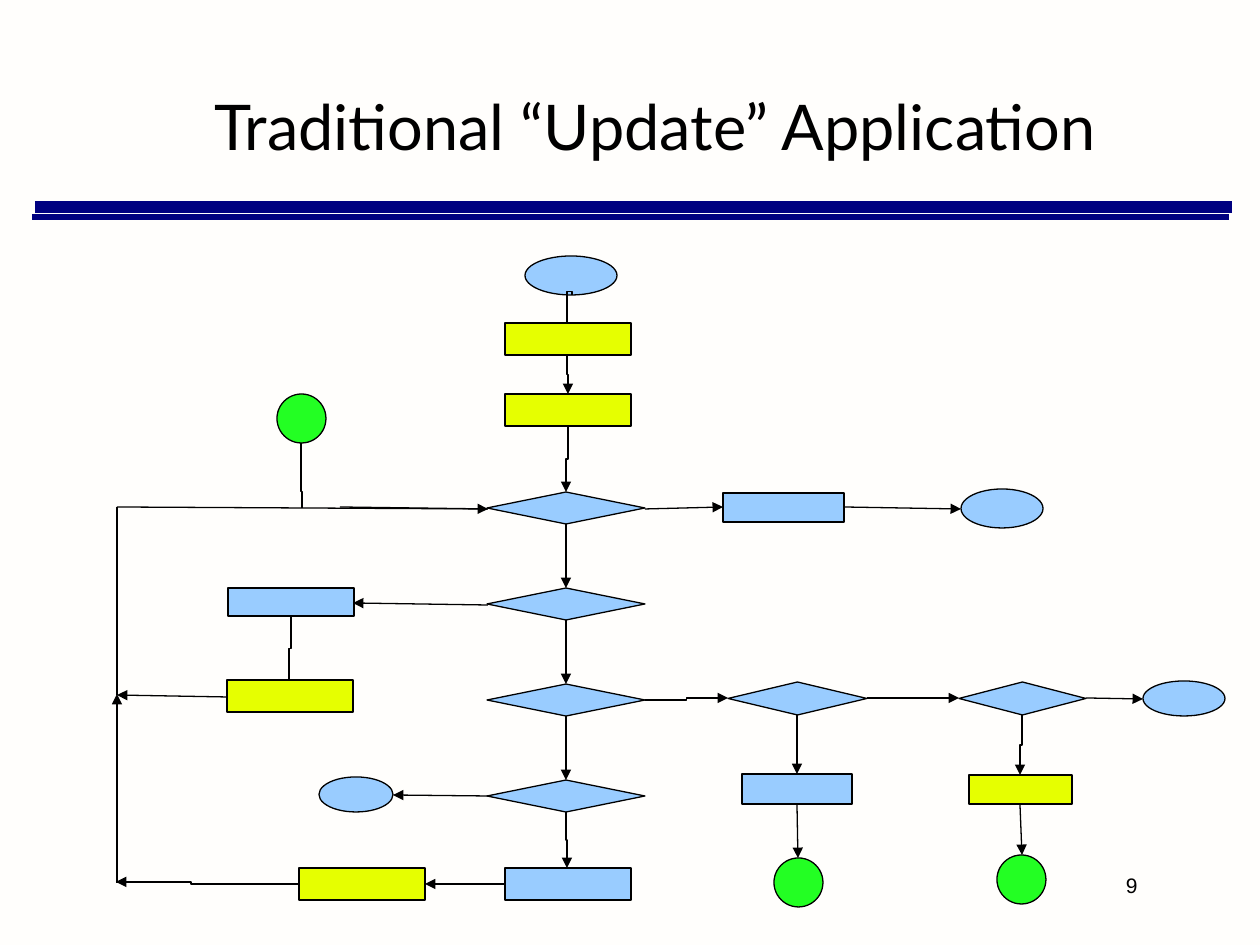
from dataclasses import dataclass

from lxml.etree import SubElement
from pptx import Presentation
from pptx.dml.color import RGBColor
from pptx.enum.shapes import MSO_CONNECTOR, MSO_SHAPE
from pptx.enum.text import MSO_ANCHOR, MSO_AUTO_SIZE, PP_ALIGN
from pptx.oxml.ns import qn
from pptx.util import Emu, Inches, Pt

RECTANGLE = MSO_SHAPE.RECTANGLE
DIAMOND = MSO_SHAPE.DIAMOND
OVAL = MSO_SHAPE.OVAL
STRAIGHT = MSO_CONNECTOR.STRAIGHT
ELBOW = MSO_CONNECTOR.ELBOW
LEFT = PP_ALIGN.LEFT
RIGHT = PP_ALIGN.RIGHT
TOP = MSO_ANCHOR.TOP
MIDDLE = MSO_ANCHOR.MIDDLE
NO_AUTOFIT = MSO_AUTO_SIZE.NONE

PX_PER_INCH = 126
TITLE_ONLY = 5
BLACK = "000000"
NAVY = "000080"
PAPER = "FFFEFC"
BLUE = "99CCFF"
YELLOW = "E6FF00"
GREEN = "23FF23"
THIN = 0.75

DECISION_X = 566
DECISION_TOP = 492
DECISION_STEP = 96
DECISION_WIDTH = 158
DECISION_HEIGHT = 32
DECISION_COUNT = 4
CIRCLE = 49


@dataclass(frozen=True)
class Node:
    kind: int
    left: int
    top: int
    width: int
    height: int
    fill: str = BLUE


@dataclass(frozen=True)
class Link:
    x1: int
    y1: int
    x2: int
    y2: int
    arrow: bool = True
    bend: float | None = None
    vertical: bool = False
    color: str = BLACK
    weight: float = THIN


DECISION_TOPS = [DECISION_TOP + DECISION_STEP * row for row in range(DECISION_COUNT)]

NODES = [
    Node(OVAL, 525, 256, 92, 39),
    Node(RECTANGLE, 505, 323, 126, 32, YELLOW),
    Node(RECTANGLE, 505, 394, 126, 32, YELLOW),
    *(
        Node(DIAMOND, DECISION_X - DECISION_WIDTH // 2, top, DECISION_WIDTH, DECISION_HEIGHT)
        for top in DECISION_TOPS
    ),
    Node(RECTANGLE, 505, 868, 126, 32),
    Node(RECTANGLE, 299, 868, 126, 32, YELLOW),
    Node(RECTANGLE, 228, 588, 126, 28),
    Node(RECTANGLE, 227, 680, 126, 32, YELLOW),
    Node(DIAMOND, 728, 682, 139, 33),
    Node(DIAMOND, 959, 682, 127, 33),
    Node(RECTANGLE, 742, 774, 110, 30),
    Node(RECTANGLE, 969, 775, 103, 29, YELLOW),
    Node(RECTANGLE, 723, 493, 121, 29),
    Node(OVAL, 961, 489, 82, 39),
    Node(OVAL, 1143, 681, 82, 35),
    Node(OVAL, 319, 777, 74, 35),
    Node(OVAL, 277, 394, CIRCLE, CIRCLE, GREEN),
    Node(OVAL, 774, 858, CIRCLE, CIRCLE, GREEN),
    Node(OVAL, 997, 855, CIRCLE, CIRCLE, GREEN),
]

LINKS = [
    *(
        Link(DECISION_X, top + DECISION_HEIGHT, DECISION_X, top + DECISION_STEP)
        for top in DECISION_TOPS[:-1]
    ),
    Link(572, 295, 567, 323, arrow=False, bend=-0.12, vertical=True),
    Link(567, 355, 568, 394, bend=0.5, vertical=True),
    Link(568, 426, 566, 492, bend=0.5, vertical=True),
    Link(566, 812, 567, 868, bend=0.5, vertical=True),
    Link(1022, 715, 1020, 775, bend=0.5, vertical=True),
    Link(301, 443, 302, 508, arrow=False, bend=0.75, vertical=True),
    Link(291, 617, 289, 680, arrow=False, bend=0.5, vertical=True),
    Link(645, 700, 728, 698, bend=0.5),
    Link(299, 884, 116, 882, bend=0.59),
    Link(867, 698, 959, 698),
    Link(797, 715, 797, 774),
    Link(645, 509, 723, 507),
    Link(844, 507, 961, 509),
    Link(1086, 698, 1143, 699),
    Link(488, 796, 393, 795),
    Link(797, 804, 798, 858),
    Link(1020, 804, 1022, 855),
    Link(505, 884, 425, 884),
    Link(227, 697, 117, 695),
    Link(117, 883, 117, 694),
    Link(117, 507, 488, 509, arrow=False),
    Link(117, 695, 117, 507, arrow=False),
    Link(340, 507, 488, 509),
    Link(488, 605, 353, 603),
]

HEADER_RULES = [
    Link(35, 207, 1232, 207, arrow=False, color=NAVY, weight=7.2),
    Link(32, 217, 1229, 217, arrow=False, color=NAVY, weight=2.89),
]


def px(length: float) -> Emu:
    return Emu(round(length * Inches(1) / PX_PER_INCH))


def rgb(color: str) -> RGBColor:
    return RGBColor.from_string(color)


def draw_node(page, node: Node) -> None:
    box = page.shapes.add_shape(
        node.kind, px(node.left), px(node.top), px(node.width), px(node.height)
    )
    box.shadow.inherit = False
    box.fill.solid()
    box.fill.fore_color.rgb = rgb(node.fill)
    box.line.color.rgb = rgb(BLACK)
    box.line.width = Pt(THIN)


def draw_link(page, link: Link) -> None:
    x1, y1, x2, y2 = link.x1, link.y1, link.x2, link.y2
    if link.vertical:
        middle_x, middle_y = (x1 + x2) / 2, (y1 + y2) / 2
        half_run, half_shift = (y2 - y1) / 2, (x2 - x1) / 2
        x1, x2 = middle_x - half_run, middle_x + half_run
        y1, y2 = middle_y + half_shift, middle_y - half_shift
    kind = STRAIGHT if link.bend is None else ELBOW
    connector = page.shapes.add_connector(kind, px(x1), px(y1), px(x2), px(y2))
    connector.line.color.rgb = rgb(link.color)
    connector.line.width = Pt(link.weight)
    properties = connector._element.spPr
    if link.vertical:
        properties.find(qn("a:xfrm")).set("rot", "5400000")
    if link.bend is not None:
        adjustments = properties.find(qn("a:prstGeom")).find(qn("a:avLst"))
        formula = f"val {round(link.bend * 100000)}"
        SubElement(adjustments, qn("a:gd"), name="adj1", fmla=formula)
    if link.arrow:
        SubElement(properties.find(qn("a:ln")), qn("a:tailEnd"), type="triangle")
    SubElement(properties, qn("a:effectLst"))


def write_text(box, text: str, bounds: tuple, font: str, size: int, align, anchor) -> None:
    box.left, box.top, box.width, box.height = map(px, bounds)
    frame = box.text_frame
    frame.text = text
    frame.word_wrap = True
    frame.auto_size = NO_AUTOFIT
    frame.vertical_anchor = anchor
    para = frame.paragraphs[0]
    para.alignment = align
    para.font.name = font
    para.font.size = Pt(size)
    para.font.color.rgb = rgb(BLACK)


def main() -> None:
    deck = Presentation()
    deck.slide_width, deck.slide_height = Inches(10), Inches(7.5)
    page = deck.slides.add_slide(deck.slide_layouts[TITLE_ONLY])
    page.background.fill.solid()
    page.background.fill.fore_color.rgb = rgb(PAPER)

    title = page.shapes.title
    title_text = "Traditional “Update” Application"
    write_text(title, title_text, (202, 92, 975, 113), "Lato", 36, LEFT, TOP)
    title.text_frame.paragraphs[0].line_spacing = 0.87

    number_bounds = (903, 861, 247, 48)
    number = page.shapes.add_textbox(*map(px, number_bounds))
    write_text(number, "9", number_bounds, "Arial", 12, RIGHT, MIDDLE)

    for node in NODES:
        draw_node(page, node)
    for link in HEADER_RULES + LINKS:
        draw_link(page, link)
    deck.save("out.pptx")


if __name__ == "__main__":
    main()
